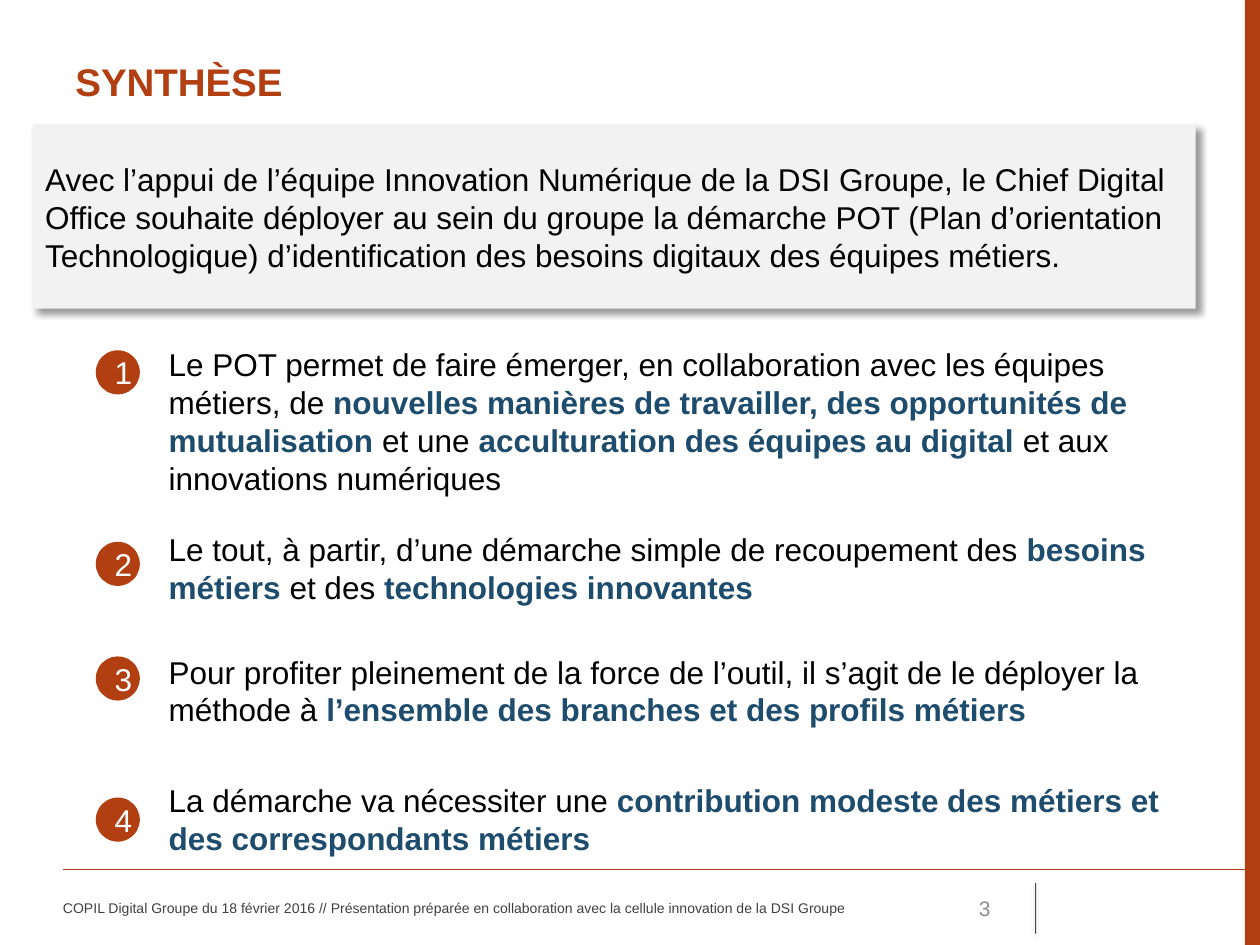
"""Builds the summary slide with four numbered key points."""
from lxml.etree import SubElement
from pptx import Presentation
from pptx.dml.color import RGBColor
from pptx.enum.shapes import MSO_CONNECTOR, MSO_SHAPE
from pptx.enum.text import MSO_ANCHOR, MSO_AUTO_SIZE, PP_ALIGN
from pptx.oxml.ns import qn
from pptx.util import Inches, Pt

COLORS = {
    "rust": "B23F12", "blue": "1E4C6D", "pale": "F2F2F2", "black": "000000",
    "white": "FFFFFF", "dark": "404040", "gray": "8C8C8C",
}
INTRO = (
    "Avec l’appui de l’équipe Innovation Numérique de la DSI Groupe, le Chief Digital "
    "Office souhaite déployer au sein du groupe la démarche POT (Plan d’orientation "
    "Technologique) d’identification des besoins digitaux des équipes métiers."
)
FOOTER = (
    "COPIL Digital Groupe du 18 février 2016 // Présentation préparée en collaboration "
    "avec la cellule innovation de la DSI Groupe"
)
POINTS = [
    (2.78, (1.24, 2.69, 8.48, 1.31), [
        "Le POT permet de faire émerger, en collaboration avec les équipes métiers, de ",
        "nouvelles manières de travailler, des opportunités de mutualisation ",
        "et une ", "acculturation des équipes au digital ",
        "et aux innovations numériques"]),
    (4.3, (1.24, 4.16, 8.19, 0.71), [
        "Le tout, à partir, d’une démarche simple de recoupement des ",
        "besoins métiers ", "et des ", "technologies innovantes"]),
    (5.21, (1.24, 5.13, 8.19, 0.71), [
        "Pour profiter pleinement de la force de l’outil, il s’agit de le déployer la méthode à ",
        "l’ensemble des branches et des profils métiers"]),
    (6.33, (1.24, 6.15, 8.19, 0.71), [
        "La démarche va nécessiter une ",
        "contribution modeste des métiers et des correspondants métiers"]),
]


def rgb(name):
    return RGBColor.from_string(COLORS[name])


def style(run, size, color, bold=False):
    font = run.font
    font.name, font.size, font.bold = "Arial", Pt(size), bold
    font.color.rgb = rgb(color)


def write(shape, text, size, color, bold=False, align=PP_ALIGN.LEFT):
    frame = shape.text_frame
    frame.text = text
    frame.word_wrap = True
    frame.vertical_anchor = MSO_ANCHOR.MIDDLE
    para = frame.paragraphs[0]
    para.alignment = align
    style(para.runs[0], size, color, bold)


def add_alpha(node, share):
    SubElement(node, qn("a:alpha"), val=str(share * 1000))


def add_shade(effects, share, blur, dist, angle):
    shade = SubElement(
        effects, qn("a:outerShdw"), blurRad=str(Pt(blur)), dist=str(Pt(dist)),
        dir=str(angle * 60000), algn="tl", rotWithShape="0")
    add_alpha(SubElement(shade, qn("a:srgbClr"), val=COLORS["black"]), share)


def add_box(slide, box):
    return slide.shapes.add_textbox(*map(Inches, box))


def add_form(slide, kind, box, color):
    shape = slide.shapes.add_shape(kind, *map(Inches, box))
    shape.shadow.inherit = False
    shape.fill.solid()
    shape.fill.fore_color.rgb = rgb(color)
    shape.line.fill.background()
    return shape


def add_line(slide, ends, color, width):
    line = slide.shapes.add_connector(MSO_CONNECTOR.STRAIGHT, *map(Inches, ends))
    line.line.color.rgb = rgb(color)
    line.line.width = Pt(width)
    effects = SubElement(line._element.spPr, qn("a:effectLst"))
    return line, effects


def add_point(slide, num, top, box, parts):
    dot = add_form(slide, MSO_SHAPE.OVAL, (0.76, top, 0.35, 0.35), "rust")
    write(dot, str(num), 18, "white", align=PP_ALIGN.CENTER)
    frame = add_box(slide, box).text_frame
    frame.word_wrap = True
    frame.auto_size = MSO_AUTO_SIZE.SHAPE_TO_FIT_TEXT
    para = frame.paragraphs[0]
    for index, part in enumerate(parts):
        run = para.add_run()
        run.text = part
        strong = index % 2 == 1
        style(run, 18, "blue" if strong else "black", strong)


def add_frame(slide):
    add_form(slide, MSO_SHAPE.RECTANGLE, (9.88, 0, 0.12, 7.5), "rust")
    add_line(slide, (0.5, 6.9, 10, 6.9), "rust", 0.75)
    mark, effects = add_line(slide, (8.22, 7.01, 8.22, 7.41), "black", 0.5)
    add_alpha(mark._element.spPr.find(".//" + qn("a:srgbClr")), 70)
    add_shade(effects, 38, 3.1, 1.6, 90)
    foot = add_box(slide, (0.5, 7.01, 6.67, 0.4))
    foot.text_frame.margin_left = 0
    write(foot, FOOTER, 8, "dark")
    page = add_box(slide, (7.17, 7.01, 0.79, 0.4))
    write(page, "3", 12, "gray", align=PP_ALIGN.RIGHT)


def add_intro(slide):
    panel = add_form(slide, MSO_SHAPE.RECTANGLE, (0.26, 0.99, 9.23, 1.46), "pale")
    add_shade(panel._element.spPr.find(qn("a:effectLst")), 40, 4, 3, 45)
    write(panel, INTRO, 18, "black")


def main():
    deck = Presentation()
    deck.slide_width, deck.slide_height = Inches(10), Inches(7.5)
    slide = deck.slides.add_slide(deck.slide_layouts[6])
    add_frame(slide)
    title = add_box(slide, (0.5, 0.3, 8.99, 0.69))
    write(title, "SYNTHÈSE", 22, "rust", bold=True)
    for num, (top, box, parts) in enumerate(POINTS, 1):
        add_point(slide, num, top, box, parts)
    add_intro(slide)
    deck.save("out.pptx")


if __name__ == "__main__":
    main()
